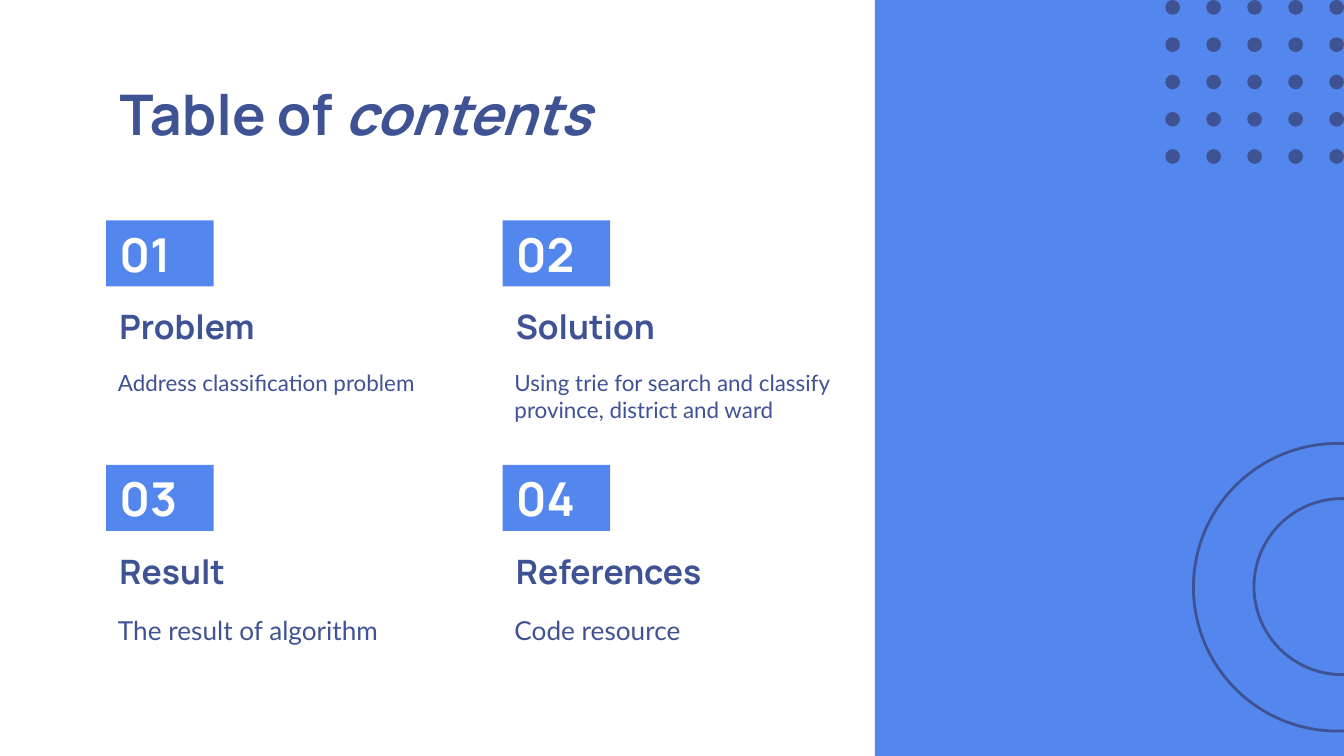
"""Build a table of contents slide with four numbered sections and a decorated side panel."""
from dataclasses import dataclass
from itertools import product

import pptx
import pptx.dml.color
import pptx.enum.shapes
import pptx.enum.text
import pptx.util
from pptx.util import Inches

Anchor = pptx.enum.text.MSO_ANCHOR
Geometry = pptx.enum.shapes.MSO_SHAPE


@dataclass(frozen=True)
class Theme:
    """Colours, fonts and type sizes of the slide."""
    blue: str = "5387ED"
    navy: str = "3F5294"
    white: str = "FFFFFF"
    heading_font: str = "Manrope"
    body_font: str = "Lato"
    title_size: int = 30
    number_size: int = 25
    heading_size: int = 18
    body_size: int = 14
    small_body_size: int = 12
    ring_width: float = 1.5


@dataclass(frozen=True)
class Box:
    """A rectangle measured in inches."""
    left: float
    top: float
    width: float
    height: float

    def lengths(self) -> tuple:
        """Give left, top, width and height as lengths."""
        return tuple(Inches(v) for v in (self.left, self.top, self.width, self.height))


@dataclass(frozen=True)
class TextStyle:
    """Font, size, colour, weight and anchoring of a text."""
    font: str
    size: int
    color: str
    bold: bool
    anchor: Anchor


@dataclass(frozen=True)
class Section:
    """One numbered entry of the contents."""
    number: str
    heading: str
    summary: str
    summary_size: int


THEME = Theme()
TITLE = TextStyle(THEME.heading_font, THEME.title_size, THEME.navy, True, Anchor.TOP)
NUMBER = TextStyle(THEME.heading_font, THEME.number_size, THEME.white, True, Anchor.MIDDLE)
HEADING = TextStyle(THEME.heading_font, THEME.heading_size, THEME.navy, True, Anchor.BOTTOM)

SECTIONS = (
    Section("01", "Problem", "Address classification problem", THEME.small_body_size),
    Section("02", "Solution", "Using trie for search and classify province, district and ward",
            THEME.small_body_size),
    Section("03", "Result", "The result of algorithm", THEME.body_size),
    Section("04", "References", "Code resource", THEME.body_size),
)
SLIDE_WIDTH = 10
SLIDE_HEIGHT = SLIDE_WIDTH * 9 / 16
PANEL_LEFT = 6.51
COLUMN_LEFTS = (0.79, 3.74)
FIRST_ROW, ROW_STEP = 1.64, 1.82
RINGS = (Box(8.88, 3.3, 2.14, 2.14), Box(9.33, 3.71, 1.31, 1.31))
DOTS_PER_SIDE, DOT_SIZE = 5, 0.11
DOTS_LEFT = 8.67
DOT_STEP_X = 1.22 / (DOTS_PER_SIDE - 1)
DOT_STEP_Y = 1.11 / (DOTS_PER_SIDE - 1)


def rgb(color: str) -> pptx.dml.color.RGBColor:
    """Turn a hex string into a colour."""
    return pptx.dml.color.RGBColor.from_string(color)


def write(shape, style: TextStyle, *texts: str) -> list:
    """Write the texts as runs of one styled paragraph and return the runs."""
    frame = shape.text_frame
    frame.word_wrap = True
    frame.auto_size = pptx.enum.text.MSO_AUTO_SIZE.NONE
    frame.vertical_anchor = style.anchor
    frame.margin_left = frame.margin_right = Inches(0.1)
    frame.margin_top = frame.margin_bottom = Inches(0.1)
    paragraph = frame.paragraphs[0]
    paragraph.alignment = pptx.enum.text.PP_ALIGN.LEFT
    font = paragraph.font
    font.name, font.size, font.bold = style.font, pptx.util.Pt(style.size), style.bold
    font.color.rgb = rgb(style.color)
    runs = []
    for text in texts:
        run = paragraph.add_run()
        run.text = text
        runs.append(run)
    return runs


def add_filled(slide, geometry: Geometry, box: Box, color: str):
    """Add a shape with a solid fill and no outline."""
    shape = slide.shapes.add_shape(geometry, *box.lengths())
    shape.shadow.inherit = False
    shape.fill.solid()
    shape.fill.fore_color.rgb = rgb(color)
    shape.line.fill.background()
    return shape


def add_ring(slide, box: Box) -> None:
    """Add an outlined circle."""
    ring = slide.shapes.add_shape(Geometry.OVAL, *box.lengths())
    ring.shadow.inherit = False
    ring.fill.background()
    ring.line.color.rgb = rgb(THEME.navy)
    ring.line.width = pptx.util.Pt(THEME.ring_width)


def add_panel(slide) -> None:
    """Add the side panel with its dot grid and rings."""
    panel = Box(PANEL_LEFT, 0, SLIDE_WIDTH - PANEL_LEFT, SLIDE_HEIGHT)
    add_filled(slide, Geometry.RECTANGLE, panel, THEME.blue)
    for row, column in product(range(DOTS_PER_SIDE), repeat=2):
        dot = Box(DOTS_LEFT + column * DOT_STEP_X, row * DOT_STEP_Y, DOT_SIZE, DOT_SIZE)
        add_filled(slide, Geometry.OVAL, dot, THEME.navy)
    for ring in RINGS:
        add_ring(slide, ring)


def add_section(slide, section: Section, left: float, top: float) -> None:
    """Add a number badge with its heading and summary."""
    badge = add_filled(slide, Geometry.RECTANGLE, Box(left, top, 0.8, 0.49), THEME.blue)
    write(badge, NUMBER, section.number)
    heading = slide.shapes.add_textbox(*Box(left, top + 0.61, 2.52, 0.43).lengths())
    write(heading, HEADING, section.heading)
    summary = slide.shapes.add_textbox(*Box(left - 0.01, top + 1.01, 2.67, 0.53).lengths())
    style = TextStyle(THEME.body_font, section.summary_size, THEME.navy, False, Anchor.TOP)
    write(summary, style, section.summary)


def main() -> None:
    """Build and save the slide."""
    deck = pptx.Presentation()
    deck.slide_width, deck.slide_height = Inches(SLIDE_WIDTH), Inches(SLIDE_HEIGHT)
    slide = deck.slides.add_slide(deck.slide_layouts.get_by_name("Title Only"))
    add_panel(slide)
    title = slide.shapes.title
    title.left, title.top, title.width, title.height = Box(0.79, 0.49, 8.43, 0.63).lengths()
    _, emphasis = write(title, TITLE, "Table of ", "contents")
    emphasis.font.italic = True
    for index, section in enumerate(SECTIONS):
        row, column = divmod(index, len(COLUMN_LEFTS))
        add_section(slide, section, COLUMN_LEFTS[column], FIRST_ROW + row * ROW_STEP)
    deck.save("out.pptx")


if __name__ == "__main__":
    main()
